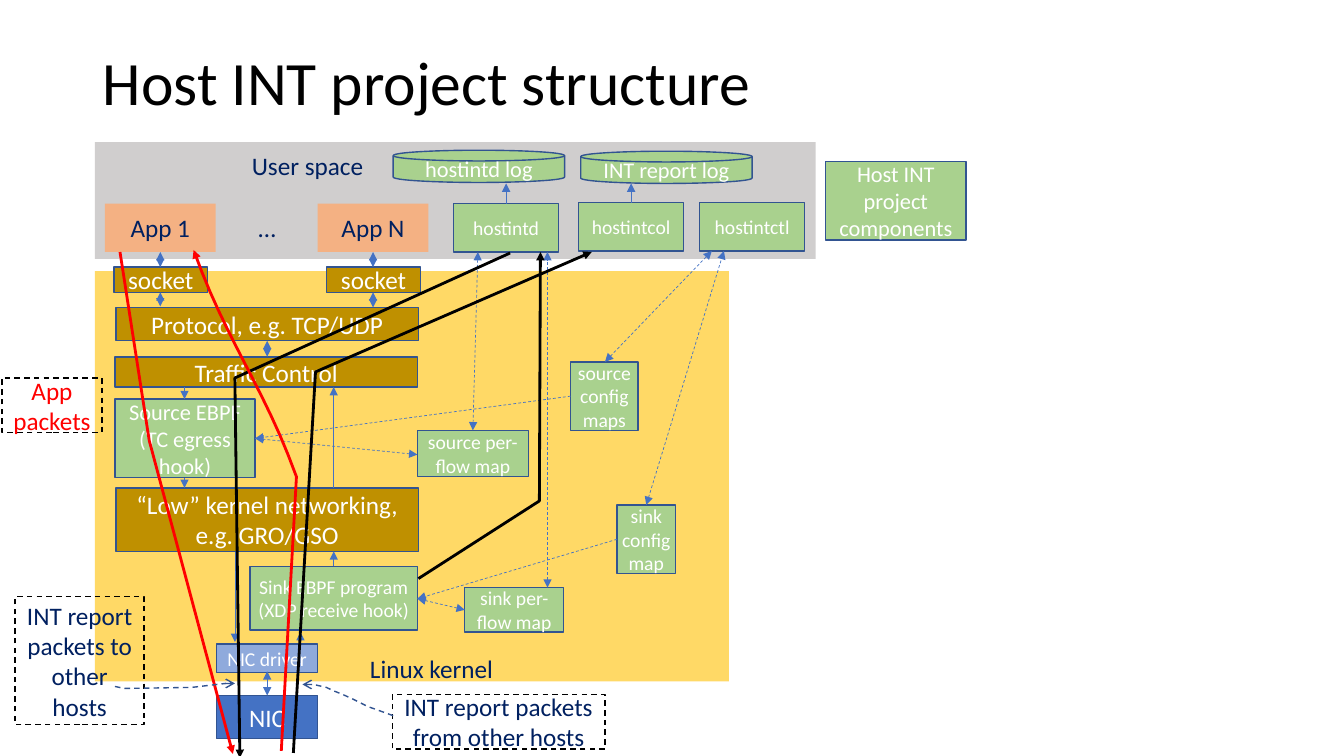
"""Build the Host INT project structure slide."""
from lxml.etree import SubElement
from pptx import Presentation
from pptx.dml.color import RGBColor
from pptx.enum.dml import MSO_LINE
from pptx.enum.shapes import MSO_CONNECTOR, MSO_SHAPE
from pptx.enum.text import MSO_ANCHOR, PP_ALIGN
from pptx.oxml.ns import qn
from pptx.util import Inches, Pt

FONT = "Calibri"
WHITE, BLACK, RED, NAVY = "FFFFFF", "000000", "FF0000", "002060"
GREEN, GOLD, PEACH, BLUE, EDGE = "A9D18E", "BF9000", "F4B183", "4472C4", "325491"


def color(code):
    """Turn a hex string into a colour."""
    return RGBColor.from_string(code)


def curve(a, b, c, d, steps=12):
    """List the points of a cubic curve after its start."""
    spots = []
    for i in range(1, steps + 1):
        t = i / steps
        u = 1 - t
        spots.append(tuple(u**3 * p + 3 * u * u * t * q + 3 * u * t * t * r + t**3 * s
                           for p, q, r, s in zip(a, b, c, d)))
    return spots


class Board:
    """Hold the slide and draw styled elements on it."""

    def __init__(self, deck):
        """Add a slide that has only a title."""
        self.slide = deck.slides.add_slide(deck.slide_layouts[5])
        self.shapes = self.slide.shapes

    def title(self, text, at):
        """Place the slide title."""
        head = self.shapes.title
        head.left, head.top, head.width, head.height = map(Inches, at)
        self.letter(head, text, 44, BLACK, align=PP_ALIGN.LEFT)
        head.text_frame.paragraphs[0].line_spacing = 0.9

    def letter(self, shape, text, size, ink, pad=(0.1, 0.05), align=PP_ALIGN.CENTER):
        """Fill a shape with formatted text."""
        frame = shape.text_frame
        frame.text = text
        frame.word_wrap = True
        frame.vertical_anchor = MSO_ANCHOR.MIDDLE
        frame.margin_left = frame.margin_right = Inches(pad[0])
        frame.margin_top = frame.margin_bottom = Inches(pad[1])
        for para in frame.paragraphs:
            para.alignment = align
            para.font.name = FONT
            para.font.size = Pt(size)
            para.font.color.rgb = color(ink)

    def stroke(self, shape, ink, width, dash=False, head=None, tail=None):
        """Style an outline and its arrowheads."""
        shape.line.color.rgb = color(ink)
        shape.line.width = Pt(width)
        if dash:
            shape.line.dash_style = MSO_LINE.DASH
        edge = shape.element.spPr.find(qn("a:ln"))
        for tag, kind in (("a:headEnd", head), ("a:tailEnd", tail)):
            if kind:
                SubElement(edge, qn(tag), type=kind)

    def box(self, at, fill=None, text="", size=18, ink=WHITE, line=EDGE,
            dash=False, pad=(0.1, 0.05), kind=MSO_SHAPE.RECTANGLE):
        """Draw a box with optional fill, outline and text."""
        shape = self.shapes.add_shape(kind, *map(Inches, at))
        shape.shadow.inherit = False
        if fill:
            shape.fill.solid()
            shape.fill.fore_color.rgb = color(fill)
        else:
            shape.fill.background()
        if line:
            self.stroke(shape, line, 1, dash)
        else:
            shape.line.fill.background()
        if text:
            self.letter(shape, text, size, ink, pad)

    def label(self, at, text):
        """Place a plain text label."""
        self.letter(self.shapes.add_textbox(*map(Inches, at)), text, 18, NAVY)

    def arrow(self, x1, y1, x2, y2, both=False, dash=False):
        """Draw a thin straight arrow."""
        link = self.shapes.add_connector(MSO_CONNECTOR.STRAIGHT, *map(Inches, (x1, y1, x2, y2)))
        self.stroke(link, BLUE, 0.5, dash, "triangle" if both else None, "triangle")
        SubElement(link.element.spPr, qn("a:effectLst"))

    def trail(self, spots, ink, width=2, dash=False, tail="triangle"):
        """Draw an open path that ends in an arrowhead."""
        spots = [(Inches(x), Inches(y)) for x, y in spots]
        pen = self.shapes.build_freeform(*spots[0])
        pen.add_line_segments(spots[1:], close=False)
        shape = pen.convert_to_shape()
        shape.shadow.inherit = False
        shape.fill.background()
        self.stroke(shape, ink, width, dash, tail=tail)


def main():
    """Build and save the slide."""
    deck = Presentation()
    deck.slide_width, deck.slide_height = Inches(13.33), Inches(7.5)
    board = Board(deck)
    board.title("Host INT project structure", (0.92, 0.4, 11.5, 0.9))

    board.box((0.94, 2.69, 6.29, 4.07), "FFD966", line=None)
    board.box((0.94, 1.41, 7.15, 1.16), "D0CECE", line=None)
    board.label((2.37, 1.48, 1.36, 0.32), "User space")
    board.label((2.15, 2.02, 1, 0.48), "…")
    board.label((3.55, 6.49, 1.46, 0.29), "Linux kernel")

    for x, name in ((1.04, "App 1"), (3.15, "App N")):
        board.box((x, 2.02, 1.1, 0.48), PEACH, name, ink=NAVY, line=None)
        board.box((x + 0.09, 2.65, 0.93, 0.25), GOLD, "socket")
    for x, y, high, name in ((1.15, 3.05, 0.33, "Protocol, e.g. TCP/UDP"),
                             (1.14, 3.54, 0.3, "Traffic Control"),
                             (1.15, 4.84, 0.63, "“Low” kernel networking, e.g. GRO/GSO")):
        board.box((x, y, 3, high), GOLD, name)
    board.box((2.15, 6.39, 1, 0.28), "8FAADC", "NIC driver", 14)
    board.box((2.15, 6.9, 1, 0.43), BLUE, "NIC")

    for x, y, name in ((4.5, 2.02, "hostintd"), (5.74, 2.01, "hostintcol"),
                       (6.94, 2.01, "hostintctl")):
        board.box((x, y, 1.04, 0.48), GREEN, name, 14, pad=(0, 0))
    for x, y, name in ((3.9, 1.49, "hostintd log"), (5.76, 1.5, "INT report log")):
        board.box((x, y, 1.7, 0.32), GREEN, name, 16, kind=MSO_SHAPE.FLOWCHART_MAGNETIC_DISK)
    board.box((8.19, 1.6, 1.39, 0.78), GREEN, "Host INT project components", 16)
    board.box((1.14, 3.96, 1.39, 0.78), GREEN, "Source EBPF\n(TC egress hook)", 16)
    board.box((2.48, 5.62, 1.66, 0.63), GREEN, "Sink EBPF program\n(XDP receive hook)", 14,
              pad=(0, 0))
    board.box((4.14, 4.27, 1.1, 0.46), GREEN, "source per-flow map", 14)
    board.box((4.61, 5.83, 0.98, 0.44), GREEN, "sink per-flow map", 14)
    board.box((5.66, 3.59, 0.67, 0.68), GREEN, "source config maps", 14, pad=(0.05, 0))
    board.box((6.12, 5.01, 0.58, 0.68), GREEN, "sink config map", 14, pad=(0.05, 0))

    for at, name, ink in (((0.15, 5.92, 1.28, 1.27), "INT report packets to other hosts", NAVY),
                          ((3.89, 6.89, 2.11, 0.54), "INT report packets from other hosts", NAVY),
                          ((0.02, 3.75, 0.99, 0.54), "App packets", RED)):
        board.box(at, None, name, ink=ink, line=BLACK, dash=True)

    for x, start, end in ((2.33, 5.47, 6.37), (1.83, 4.74, 4.84), (1.83, 3.84, 3.96),
                          (2.98, 6.39, 6.27), (3.31, 5.62, 5.47), (3.31, 4.84, 3.84),
                          (6.26, 2.01, 1.82), (5.02, 2.02, 1.82)):
        board.arrow(x, start, x, end)
    for x, start, end in ((2.65, 6.9, 6.66), (2.65, 3.54, 3.38), (1.59, 3.04, 2.9),
                          (3.7, 3.05, 2.9), (3.7, 2.65, 2.5), (1.59, 2.65, 2.5)):
        board.arrow(x, start, x, end, both=True)
    for ends in ((4.69, 4.27, 4.74, 2.5), (5.43, 5.83, 5.43, 2.5), (4.14, 4.51, 2.53, 4.35),
                 (4.61, 6.05, 4.14, 5.94), (6, 3.59, 7.06, 2.49), (6.41, 5.01, 7.18, 2.49)):
        board.arrow(*ends, both=True, dash=True)
    for ends in ((6.12, 5.35, 4.14, 5.94), (5.66, 3.93, 2.53, 4.35)):
        board.arrow(*ends, dash=True)

    for spots in (((4.15, 5.74), (5.35, 4.97), (5.36, 2.5)),
                  ((5.06, 2.51), (2.33, 3.75), (2.38, 7.52)),
                  ((2.91, 7.47), (3.13, 3.69), (5.87, 2.5))):
        board.trail(spots, BLACK)
    board.trail(((1.19, 2.5), (1.48, 4.37), (2.31, 7.48)), RED)
    bend = (2.94, 4.73)
    board.trail([(2.79, 7.45), bend, *curve(bend, (2.62, 3.84), (2.24, 3.38), (1.92, 2.48))], RED)
    for spots in (((1.14, 6.81), (1.23, 6.83), (1.9, 6.82), (2.07, 6.8), (2.24, 6.78),
                   (2.33, 6.78)),
                  ((3.9, 7.1), (3.79, 7.06), (3.65, 7.01), (3.59, 6.98), (3.51, 6.94),
                   (3.4, 6.89), (3.3, 6.85), (3.24, 6.82), (3.11, 6.79), (3, 6.79))):
        board.trail(spots, EDGE, 1, dash=True, tail="arrow")
    deck.save("out.pptx")


if __name__ == "__main__":
    main()
